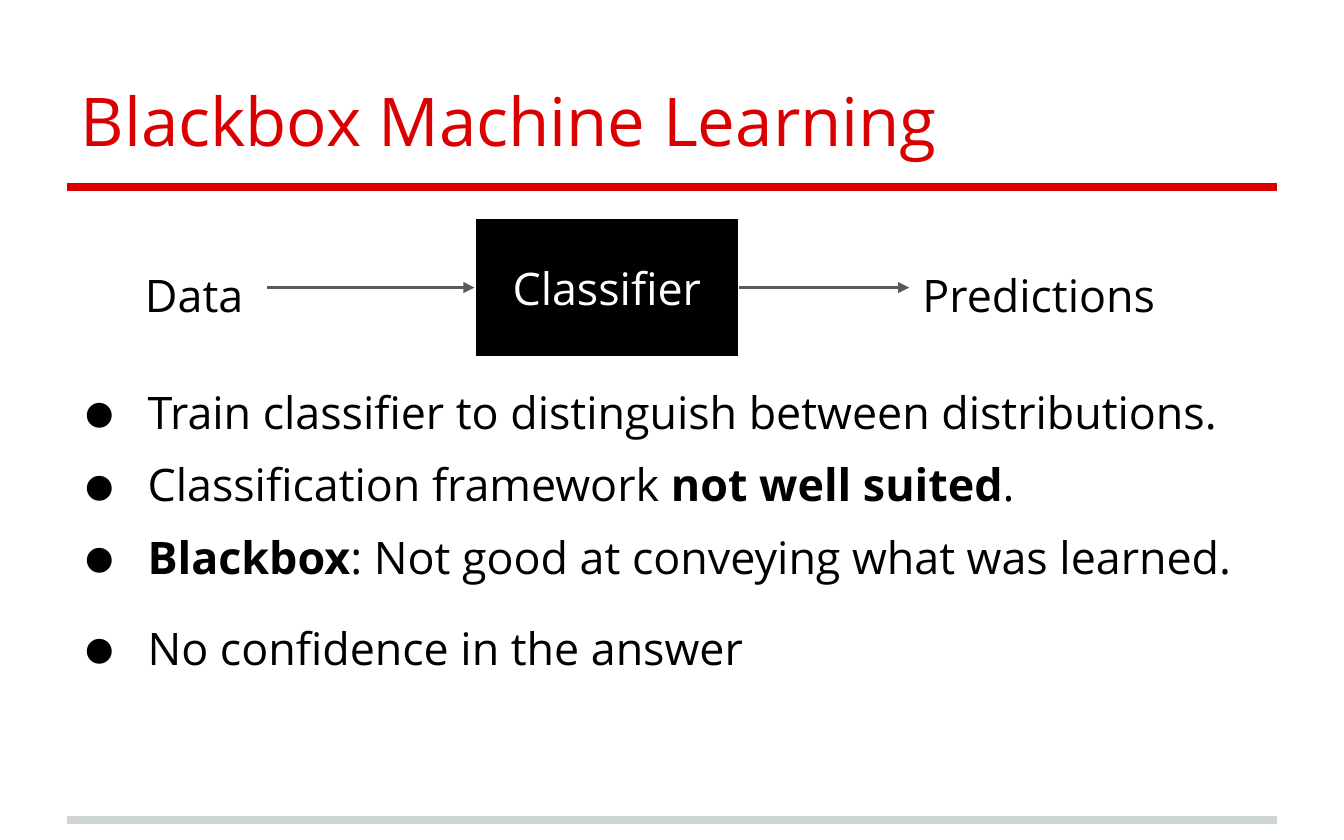
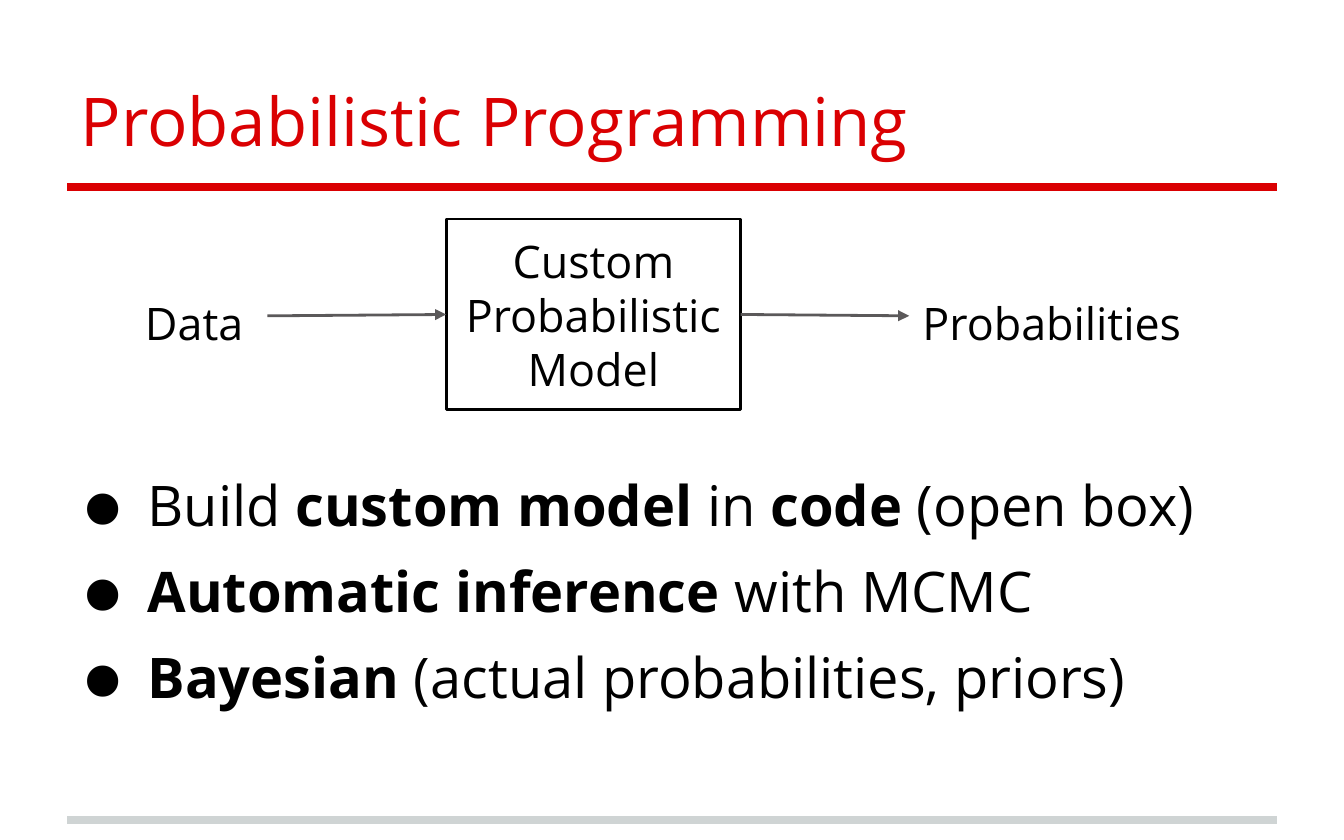
from lxml.etree import SubElement
from pptx import Presentation
from pptx.dml.color import RGBColor
from pptx.enum.shapes import MSO_CONNECTOR as Connector, MSO_SHAPE as Shape
from pptx.enum.text import MSO_ANCHOR as Anchor, PP_ALIGN as Align
from pptx.oxml.ns import qn
from pptx.util import Inches, Pt

# Shared style; the grid has 20 columns and 25 rows
WIDTH, HEIGHT = Inches(10), Inches(6.25)
COLUMN, ROW = WIDTH / 20, HEIGHT / 25
FONT = "Open Sans"
COLORS = {"red": "DA0002", "gray": "CFD4D4", "arrow": "5B595A",
          "black": "000000", "white": "FFFFFF"}


def color(name):
    return RGBColor.from_string(COLORS[name])


def grid(left, top, width, height):
    return (round(left * COLUMN), round(top * ROW),
            round(width * COLUMN), round(height * ROW))


def style_frame(frame, anchor=Anchor.TOP):
    frame.word_wrap = True
    frame.vertical_anchor = anchor
    frame.margin_left = frame.margin_right = Inches(0.1)
    frame.margin_top = frame.margin_bottom = Inches(0.1)


def style_runs(frame, size, tint, align=Align.LEFT):
    for para in frame.paragraphs:
        para.alignment = align
        for span in para.runs:
            span.font.name = FONT
            span.font.size = Pt(size)
            span.font.color.rgb = color(tint)


def add_line(page, start, end, tint, weight, arrow=False):
    line = page.shapes.add_connector(Connector.STRAIGHT, *start, *end)
    line.line.color.rgb = color(tint)
    line.line.width = Pt(weight)
    if arrow:
        SubElement(line.line._get_or_add_ln(), qn("a:tailEnd"), type="triangle")
    SubElement(line._element.spPr, qn("a:effectLst"))


# Title with the red rule below it, and the gray footer rule
def add_page(deck, title):
    page = deck.slides.add_slide(deck.layouts_by_name["Title Only"]
                                 if hasattr(deck, "layouts_by_name")
                                 else deck.slide_layouts.get_by_name("Title Only"))
    for row, tint in ((24.4, "gray"), (5.56, "red")):
        left, top, width, _ = grid(1, row, 18, 0)
        add_line(page, (left, top), (left + width, top), tint, 4)
    heading = page.shapes.title
    heading.left, heading.top, heading.width, heading.height = grid(1, 1, 18, 4.16)
    heading.text_frame.text = title
    style_frame(heading.text_frame, Anchor.BOTTOM)
    style_runs(heading.text_frame, 36, "red")
    return page


def add_label(page, text, left, top, width):
    label = page.shapes.add_textbox(*grid(left, top, width, 2))
    label.text_frame.text = text
    style_frame(label.text_frame)
    style_runs(label.text_frame, 24, "black")
    return label


# Input label, model box and output label, joined by arrows
def add_flow(page, area, label_row, model, output, fill, ink, edge):
    box = page.shapes.add_shape(Shape.RECTANGLE, *grid(*area))
    box.shadow.inherit = False
    box.fill.solid()
    box.fill.fore_color.rgb = color(fill)
    box.line.color.rgb = color(edge)
    box.line.width = Pt(1.5)
    box.text_frame.text = model
    style_frame(box.text_frame, Anchor.MIDDLE)
    style_runs(box.text_frame, 24, ink, Align.CENTER)

    source = add_label(page, "Data", 1.96, label_row, 2.02)
    target = add_label(page, output, 13.53, label_row, 4.5)
    label_middle = source.top + source.height // 2
    box_middle = box.top + box.height // 2
    add_line(page, (source.left + source.width, label_middle),
             (box.left, box_middle), "arrow", 1.5, arrow=True)
    add_line(page, (box.left + box.width, box_middle),
             (target.left, label_middle), "arrow", 1.5, arrow=True)


def add_bullet(para):
    props = para._p.get_or_add_pPr()
    props.set("marL", str(Inches(0.5)))
    props.set("indent", str(Inches(-0.46)))
    tint = SubElement(props, qn("a:buClr"))
    SubElement(tint, qn("a:srgbClr"), val=COLORS["black"])
    SubElement(props, qn("a:buFont"), typeface=FONT)
    SubElement(props, qn("a:buChar"), char="⚫")


# Bulleted list; ** marks bold, and items from spaced_from on get space after
def add_bullets(page, area, size, items, spaced_from):
    frame = page.shapes.add_textbox(*grid(*area)).text_frame
    style_frame(frame)
    for index, item in enumerate(items):
        para = frame.add_paragraph() if index else frame.paragraphs[0]
        para.space_before = Pt(10 if index else 6)
        para.space_after = Pt(10 if index >= spaced_from else 0)
        add_bullet(para)
        for part, text in enumerate(item.split("**")):
            if text:
                span = para.add_run()
                span.text = text
                span.font.bold = part % 2 == 1
    style_runs(frame, size, "black")


def blackbox_page(deck):
    page = add_page(deck, "Blackbox Machine Learning")
    add_flow(page, (7.06, 6.48, 3.94, 4.16), 7.56, "Classifier",
             "Predictions", fill="black", ink="white", edge="white")
    add_bullets(page, (1, 11.04, 18, 13), 24, [
        "Train classifier to distinguish between distributions.",
        "Classification framework **not well suited**.",
        "**Blackbox**: Not good at conveying what was learned.",
        "No confidence in the answer",
    ], spaced_from=2)


def probabilistic_page(deck):
    page = add_page(deck, "Probabilistic Programming")
    add_flow(page, (6.64, 6.52, 4.38, 5.68), 8.4, "Custom\nProbabilistic\nModel",
             "Probabilities", fill="white", ink="black", edge="black")
    add_bullets(page, (1, 13.6, 18, 8.24), 30, [
        "Build **custom model** in **code **(open box)",
        "**Automatic inference** with MCMC",
        "**Bayesian** (actual probabilities, priors)",
    ], spaced_from=3)


def main():
    deck = Presentation()
    deck.slide_width, deck.slide_height = WIDTH, HEIGHT
    blackbox_page(deck)
    probabilistic_page(deck)
    deck.save("out.pptx")


if __name__ == "__main__":
    main()
